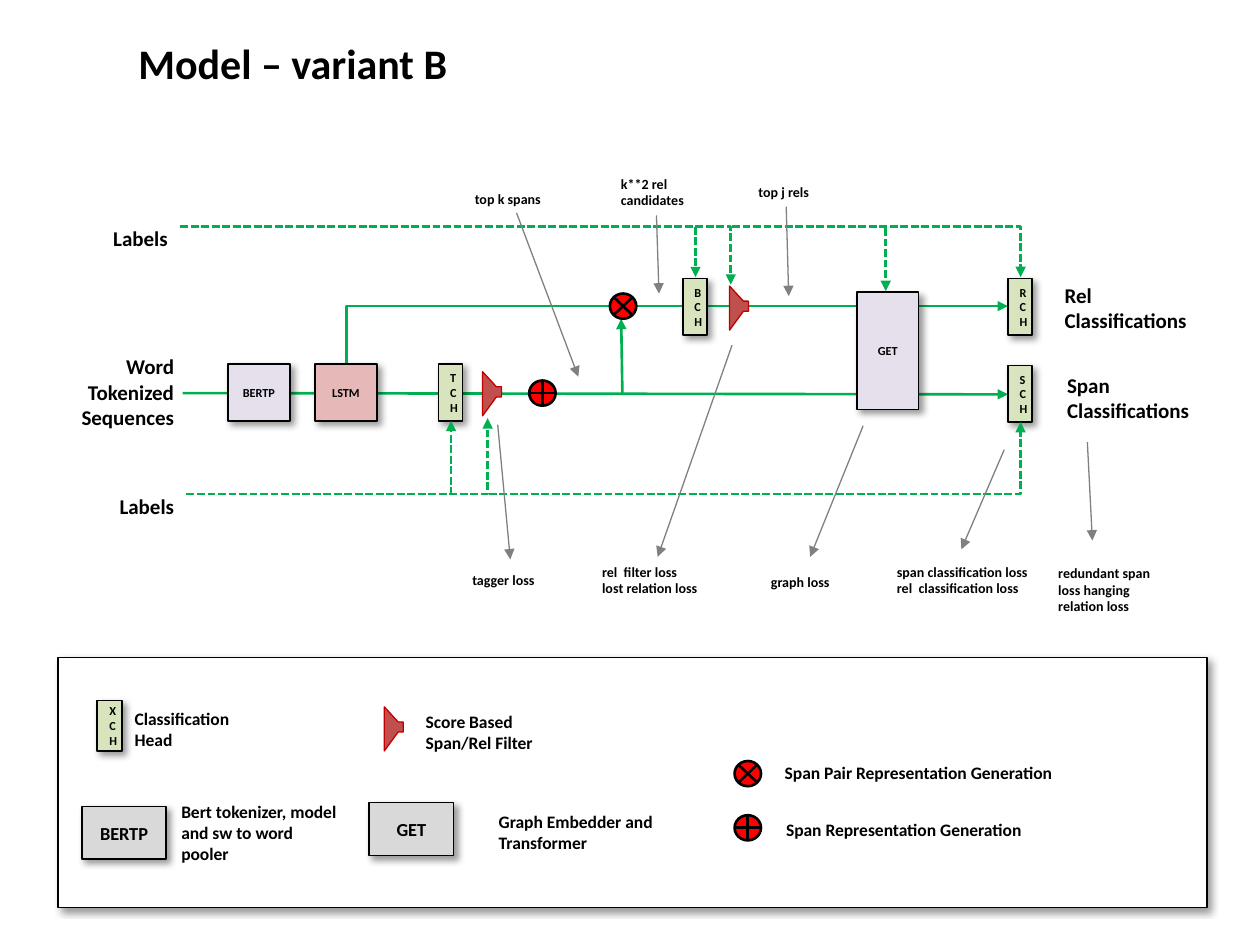
from dataclasses import dataclass

from pptx import Presentation
from pptx.dml.color import RGBColor
from pptx.enum.dml import MSO_LINE
from pptx.enum.shapes import MSO_CONNECTOR as CONN, MSO_SHAPE as SHAPE
from pptx.enum.text import MSO_ANCHOR as ANCHOR, PP_ALIGN as ALIGN
from pptx.oxml.ns import qn
from pptx.util import Inches, Pt
from lxml.etree import SubElement as sub


@dataclass(frozen=True)
class Theme:
    font: str = "Calibri"
    black: str = "000000"
    white: str = "FFFFFF"
    flow: str = "00B050"
    note: str = "808080"
    head: str = "D7E4BD"
    module: str = "E6E0EC"
    lstm: str = "E6B9B8"
    legend: str = "D9D9D9"
    junction: str = "FF0000"
    filter: str = "C0504D"
    filter_line: str = "C00000"
    title_size: float = 24
    label_size: float = 12
    legend_size: float = 10
    legend_box_size: float = 10.5
    note_size: float = 8
    box_size: float = 7


T = Theme()
HEAD_W, HEAD_H = 0.19, 0.45
MODULE_W = 0.49


def rgb(value):
    return RGBColor.from_string(value)


def write(tf, text, size=T.note_size, align=ALIGN.LEFT, anchor=ANCHOR.TOP):
    """Fill a text frame, one paragraph per line of text."""
    tf.word_wrap = True
    tf.vertical_anchor = anchor
    for i, line in enumerate(text.split("\n")):
        p = tf.paragraphs[0] if i == 0 else tf.add_paragraph()
        p.alignment = align
        r = p.add_run()
        r.text = line
        r.font.name, r.font.size, r.font.bold = T.font, Pt(size), True
        r.font.color.rgb = rgb(T.black)


def label(s, text, x, y, w, h, **fmt):
    sp = s.shapes.add_textbox(Inches(x), Inches(y), Inches(w), Inches(h))
    write(sp.text_frame, text, **fmt)


def paint(sp, fill, line, width):
    sp.shadow.inherit = False
    sp.fill.solid()
    sp.fill.fore_color.rgb = rgb(fill)
    sp.line.color.rgb = rgb(line)
    sp.line.width = Pt(width)


def add_shadow(sp):
    effects = sp._element.spPr.find(qn("a:effectLst"))
    shadow = sub(effects, qn("a:outerShdw"), blurRad=str(Pt(4)), dist=str(Pt(3)),
                 dir="2700000", algn="tl", rotWithShape="0")
    color = sub(shadow, qn("a:srgbClr"), val=T.black)
    sub(color, qn("a:alpha"), val="40000")


def box(s, text, x, y, w, h, fill, size=T.box_size, width=1):
    sp = s.shapes.add_shape(SHAPE.RECTANGLE, Inches(x), Inches(y), Inches(w), Inches(h))
    paint(sp, fill, T.black, width)
    add_shadow(sp)
    if text:
        write(sp.text_frame, text, size=size, align=ALIGN.CENTER, anchor=ANCHOR.MIDDLE)


def junction(s, kind, x, y):
    sp = s.shapes.add_shape(kind, Inches(x), Inches(y), Inches(0.21), Inches(0.2))
    paint(sp, T.junction, T.black, 1.5)


def score_filter(s, x, y):
    """Funnel that opens to the left."""
    outline = [(0, 0), (0.11, 0.12), (0.15, 0.12), (0.15, 0.2), (0.11, 0.2), (0, 0.35)]
    points = [(Inches(x + dx), Inches(y + dy)) for dx, dy in outline]
    fb = s.shapes.build_freeform(*points[0], scale=1.0)
    fb.add_line_segments(points[1:], close=True)
    paint(fb.convert_to_shape(), T.filter, T.filter_line, 0.75)


def arrow(s, x1, y1, x2, y2, color=T.flow, width=1.5, dashed=False, bent=False,
          end="a:tailEnd"):
    """Straight arrow, or one that runs across and then turns once."""
    c = s.shapes.add_connector(CONN.ELBOW if bent else CONN.STRAIGHT,
                               Inches(x1), Inches(y1), Inches(x2), Inches(y2))
    c.line.color.rgb = rgb(color)
    c.line.width = Pt(width)
    if dashed:
        c.line.dash_style = MSO_LINE.SQUARE_DOT
    spPr = c._element.spPr
    if bent:
        spPr.find(qn("a:prstGeom")).set("prst", "bentConnector2")
    sub(spPr.find(qn("a:ln")), qn(end), type="triangle")
    sub(spPr, qn("a:effectLst"))


def draw_model(s):
    # Main flow, below the boxes
    arrow(s, 1.45, 3.12, 8, 3.13)
    arrow(s, 8, 2.43, 2.75, 2.89, bent=True, end="a:headEnd")
    arrow(s, 4.94, 3.13, 4.93, 2.53)

    # Classification heads
    for text, x, y in [("RCH", 8, 2.21), ("SCH", 8, 2.9), ("BCH", 5.42, 2.21),
                       ("TCH", 3.48, 2.89)]:
        box(s, text, x, y, HEAD_W, HEAD_H, T.head)

    # Modules
    box(s, "BERTP", 1.81, 2.89, MODULE_W, HEAD_H, T.module)
    box(s, "LSTM", 2.5, 2.89, MODULE_W, HEAD_H, T.lstm)
    box(s, "GET", 6.8, 2.32, MODULE_W, 0.93, T.module)

    # Filters and junctions
    score_filter(s, 3.83, 2.95)
    score_filter(s, 5.79, 2.27)
    junction(s, SHAPE.FLOWCHART_OR, 4.2, 3.02)
    junction(s, SHAPE.FLOWCHART_SUMMING_JUNCTION, 4.84, 2.33)

    # Inputs and outputs
    for text, x, y, w, h, align in [
            ("Word Tokenized Sequences", 0.36, 2.76, 1.12, 0.71, ALIGN.RIGHT),
            ("Labels", 0.75, 1.74, 0.68, 0.3, ALIGN.RIGHT),
            ("Labels", 0.8, 3.87, 0.68, 0.3, ALIGN.RIGHT),
            ("Rel Classifications", 8.35, 2.19, 1.22, 0.5, ALIGN.LEFT),
            ("Span Classifications", 8.37, 2.91, 1.22, 0.5, ALIGN.LEFT)]:
        label(s, text, x, y, w, h, size=T.label_size, align=align)


def draw_label_feeds(s):
    for ends in [(1.43, 1.8, 5.8, 2.26), (5.81, 1.8, 8.1, 2.2),
                 (1.48, 3.92, 3.87, 3.32), (3.88, 3.92, 8.1, 3.35)]:
        arrow(s, *ends, dashed=True, bent=True)
    for x, y1, y2 in [(5.52, 1.8, 2.2), (7.03, 1.81, 2.31), (3.58, 3.93, 3.34)]:
        arrow(s, x, y1, x, y2, dashed=True)


def draw_notes(s):
    # Each note: text, its place, and the ends of its arrow
    for text, place, ends in [
            ("top k spans", (3.67, 1.46, 0.86, 0.24), (4.1, 1.69, 4.59, 2.99)),
            ("k**2 rel candidates", (4.83, 1.34, 0.76, 0.37), (5.21, 1.71, 5.23, 2.33)),
            ("top j rels", (5.92, 1.41, 0.65, 0.24), (6.24, 1.64, 6.26, 2.35)),
            ("tagger loss", (3.65, 4.49, 0.86, 0.24), (3.95, 3.37, 4.05, 4.44)),
            ("rel  filter loss\nlost relation loss", (4.68, 4.42, 1.08, 0.37),
             (5.81, 2.74, 5.22, 4.42)),
            ("graph loss", (6.02, 4.5, 0.86, 0.24), (6.85, 3.38, 6.43, 4.42)),
            ("span classification loss\nrel  classification loss",
             (7.02, 4.42, 1.5, 0.37), (7.97, 3.57, 7.63, 4.36)),
            ("redundant span  loss hanging relation loss", (8.3, 4.43, 1.15, 0.37),
             (8.63, 3.51, 8.67, 4.29))]:
        label(s, text, *place)
        arrow(s, *ends, color=T.note, width=0.75)


def draw_legend(s):
    box(s, "", 0.46, 5.22, 9.12, 1.98, T.white, width=0.75)

    # Symbols
    box(s, "XCH", 0.77, 5.56, 0.2, 0.4, T.head)
    for text, x, y in [("BERTP", 0.65, 6.4), ("GET", 2.93, 6.37)]:
        box(s, text, x, y, 0.67, 0.42, T.legend, size=T.legend_box_size)
    score_filter(s, 3.05, 5.61)
    junction(s, SHAPE.FLOWCHART_SUMMING_JUNCTION, 5.83, 6.04)
    junction(s, SHAPE.FLOWCHART_OR, 5.83, 6.47)

    # Explanations
    for text, x, y, w, h in [
            ("Classification Head", 0.97, 5.57, 1.18, 0.44),
            ("Score Based Span/Rel Filter", 3.28, 5.59, 1.18, 0.44),
            ("Bert tokenizer, model and sw to word pooler", 1.34, 6.31, 1.49, 0.61),
            ("Graph Embedder and Transformer", 3.86, 6.39, 1.49, 0.44),
            ("Span Pair Representation Generation", 6.13, 6, 2.74, 0.27),
            ("Span Representation Generation", 6.14, 6.45, 2.74, 0.27)]:
        label(s, text, x, y, w, h, size=T.legend_size)


def main():
    prs = Presentation()
    prs.slide_width, prs.slide_height = Inches(10), Inches(7.5)
    s = prs.slides.add_slide(prs.slide_layouts[6])
    label(s, "Model – variant B", 1, 0.25, 8.23, 0.5, size=T.title_size)
    draw_model(s)
    draw_label_feeds(s)
    draw_notes(s)
    draw_legend(s)
    prs.save("out.pptx")


if __name__ == "__main__":
    main()
